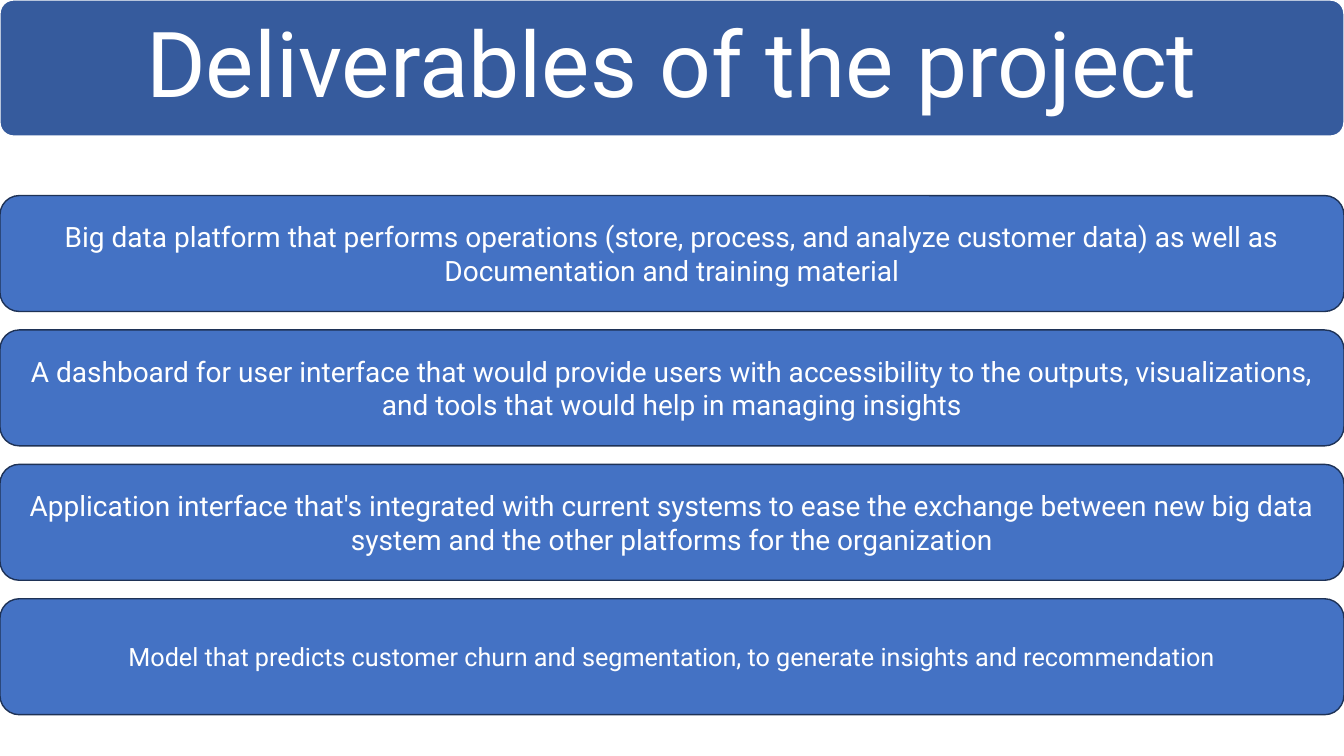
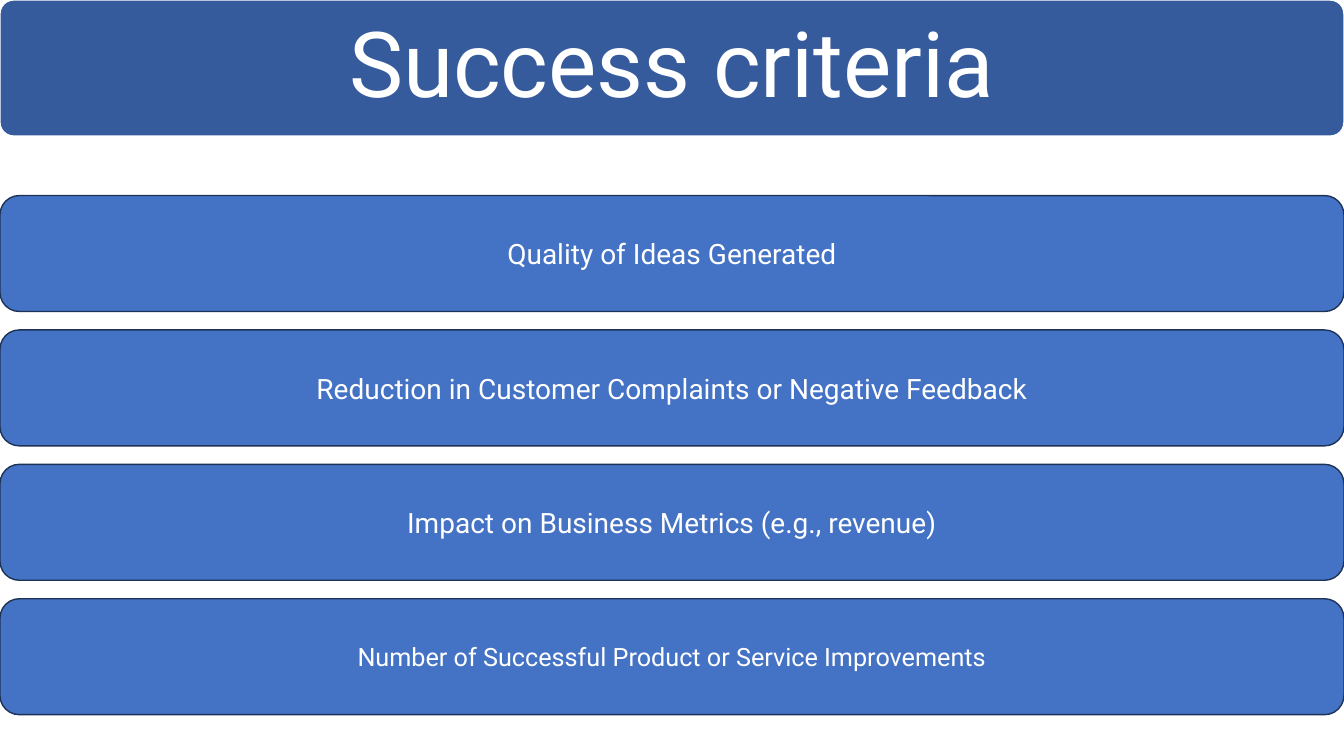
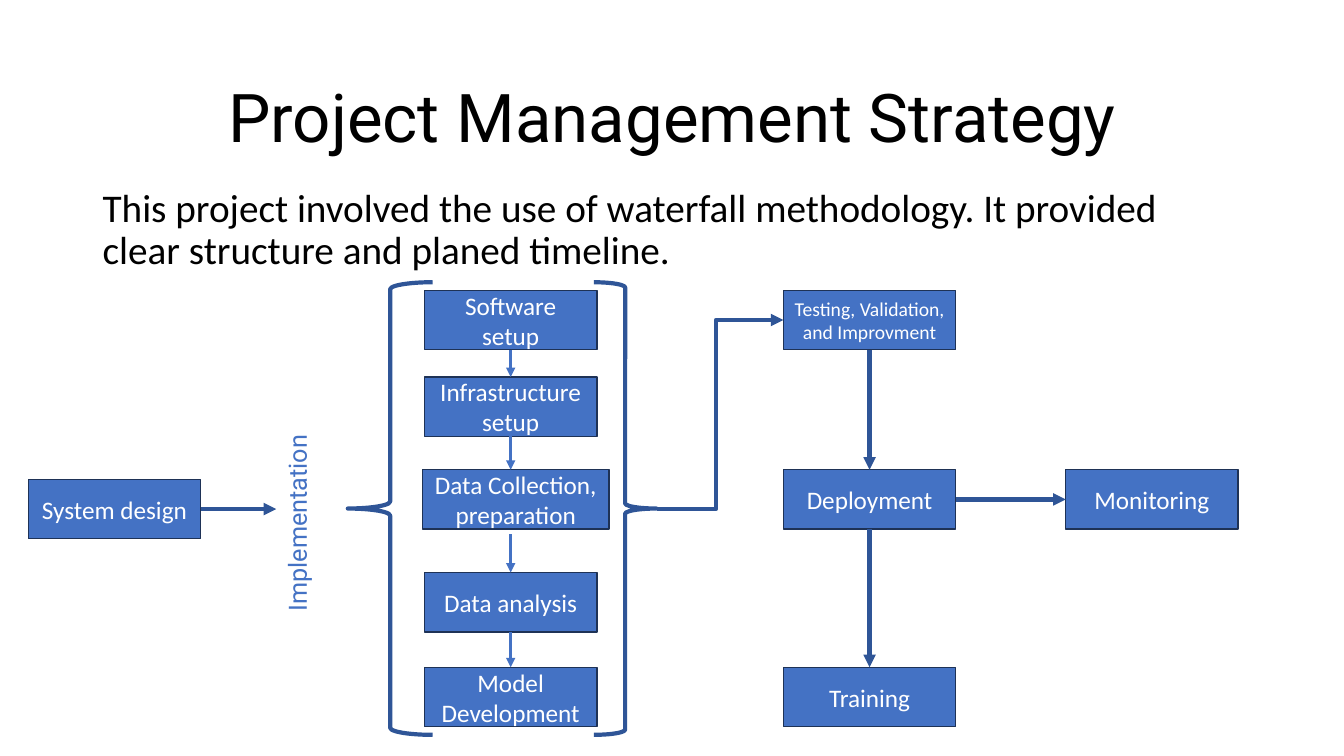
from pptx import Presentation
from pptx.dml.color import RGBColor
from pptx.enum.shapes import MSO_CONNECTOR as Conn, MSO_SHAPE as Form
from pptx.enum.text import MSO_ANCHOR as Anchor, MSO_AUTO_SIZE as Fit, PP_ALIGN as Align
from pptx.oxml.ns import qn
from pptx.util import Inches, Pt
from lxml.etree import SubElement

# Shared look
WIDE, HIGH = 13.33, 7.5
HUES = {"band": "365B9D", "box": "4472C4", "edge": "1E3256",
        "flow": "2F5597", "white": "FFFFFF", "black": "000000"}
HEAD, BODY = "Roboto", "Calibri"
TOP, DEEP, STEP = 1.94, 1.15, 4 / 3     # list cards: first top, height, pitch

# Flow chart grid
COLS = [0.28, 4.21, 7.77, 10.57]
ROWS = [2.88, 3.74, 4.66, 5.68, 6.62]
BOX_W, BOX_H = 1.71, 0.59
MID = 5.05                              # axis of the braces

CARDS = [
    ("Deliverables of the project", [
        "Big data platform that performs operations (store, process, and analyze "
        "customer data) as well as Documentation and training material",
        "A dashboard for user interface that would provide users with accessibility "
        "to the outputs, visualizations, and tools that would help in managing insights",
        "Application interface that's integrated with current systems to ease the "
        "exchange between new big data system and the other platforms for the organization",
        "Model that predicts customer churn and segmentation, to generate insights "
        "and recommendation"]),
    ("Success criteria", [
        "Quality of Ideas Generated",
        "Reduction in Customer Complaints or Negative Feedback",
        "Impact on Business Metrics (e.g., revenue)",
        "Number of Successful Product or Service Improvements"]),
]


def color(name):
    return RGBColor.from_string(HUES[name])


def write(shape, text, size, font, hue, align=Align.CENTER, anchor=Anchor.MIDDLE, lead=None):
    frame = shape.text_frame
    frame.text = text
    frame.word_wrap = True
    frame.auto_size = Fit.NONE
    frame.vertical_anchor = anchor
    for para in frame.paragraphs:
        para.alignment = align
        para.line_spacing = lead
        for run in para.runs:
            run.font.size = Pt(size)
            run.font.name = font
            run.font.color.rgb = color(hue)
    return frame


def panel(slide, form, x, y, w, h, fill, edge, pts=1):
    shape = slide.shapes.add_shape(form, Inches(x), Inches(y), Inches(w), Inches(h))
    shape.shadow.inherit = False
    if fill:
        shape.fill.solid()
        shape.fill.fore_color.rgb = color(fill)
    else:
        shape.fill.background()
    shape.line.color.rgb = color(edge)
    shape.line.width = Pt(pts)
    return shape


def title(slide, text, x, y, w, h, size, hue):
    shape = slide.shapes.title
    shape.left, shape.top, shape.width, shape.height = map(Inches, (x, y, w, h))
    return write(shape, text, size, HEAD, hue, lead=0.9)


def label(slide, text, x, y, w, h, size, font, hue, lead=None):
    shape = slide.shapes.add_textbox(Inches(x), Inches(y), Inches(w), Inches(h))
    write(shape, text, size, font, hue, Align.LEFT, Anchor.TOP, lead)
    return shape


def box(slide, text, x, y, w=BOX_W, size=18):
    shape = panel(slide, Form.RECTANGLE, x, y, w, BOX_H, "box", "edge")
    write(shape, text, size, BODY, "white")
    return shape


def arrow(slide, start, end, hue="flow", pts=3, kind=Conn.STRAIGHT):
    """Each end is an (x, y) point or a (shape, side) pair."""
    spots = [(0, 0) if hasattr(a, "shape_id") else (Inches(a), Inches(b))
             for a, b in (start, end)]
    line = slide.shapes.add_connector(kind, *spots[0], *spots[1])
    for (a, b), join in ((start, line.begin_connect), (end, line.end_connect)):
        if hasattr(a, "shape_id"):
            join(a, b)
    line.line.color.rgb = color(hue)
    line.line.width = Pt(pts)
    SubElement(line.line._get_or_add_ln(), qn("a:tailEnd"), type="triangle")
    SubElement(line._element.spPr, qn("a:effectLst"))
    return line


def cards(deck, head, items):
    slide = deck.slides.add_slide(deck.slide_layouts[5])
    # Title band, placed behind the title
    band = panel(slide, Form.ROUNDED_RECTANGLE, 0, 0, WIDE, 0.18 * HIGH, "band", "white")
    band.adjustments[0] = 0.1
    slide.shapes._spTree.insert(2, band._element)
    title(slide, head, 0.04, 0.04, WIDE - 0.08, 1.27, 65, "white")
    # Stacked cards, the last one in smaller type
    for i, item in enumerate(items):
        card = panel(slide, Form.ROUNDED_RECTANGLE, 0, TOP + i * STEP, WIDE, DEEP,
                     "box", "edge")
        write(card, item, 18 if i == len(items) - 1 else 20, HEAD, "white")


def flow(deck):
    slide = deck.slides.add_slide(deck.slide_layouts[5])
    title(slide, "Project Management Strategy", 0.92, 0.4, 11.5, 1.6, 48, "black")
    label(slide, "This project involved the use of waterfall methodology. "
          "It provided clear structure and planed timeline.",
          0.92, 1.82, 11.5, 1, 28, BODY, "black", 0.9)

    # Boxes
    design = box(slide, "System design", COLS[0], MID - BOX_H / 2)
    setup = box(slide, "Software setup", COLS[1], ROWS[0])
    infra = box(slide, "Infrastructure\nsetup", COLS[1], ROWS[1])
    box(slide, "Data Collection, preparation", 4.19, ROWS[2], 1.85)
    study = box(slide, "Data analysis", COLS[1], ROWS[3])
    model = box(slide, "Model Development", COLS[1], ROWS[4])
    test = box(slide, "Testing, Validation, and Improvment", COLS[2], ROWS[0], size=14)
    launch = box(slide, "Deployment", COLS[2], ROWS[2])
    train = box(slide, "Training", COLS[2], ROWS[4])
    watch = box(slide, "Monitoring", COLS[3], ROWS[2])

    # Implementation phase
    phase = label(slide, "Implementation", 1.82, 4.84, 2.25, 0.4, 18, HEAD, "box")
    phase.rotation = 270
    for form, x, w in ((Form.LEFT_BRACE, 3.45, 0.84), (Form.RIGHT_BRACE, 5.89, 0.62)):
        panel(slide, form, x, 2.8, w, 4.49, None, "flow", 3)

    # Steps inside the braces
    axis = COLS[1] + BOX_W / 2
    for start, end in (((setup, 2), (infra, 0)),
                       ((infra, 2), (axis, ROWS[2])),
                       ((axis, 5.3), (study, 0)),
                       ((study, 2), (model, 0))):
        arrow(slide, start, end, "box", 2.25)

    # Main flow
    arrow(slide, (design, 3), (2.74, MID))
    arrow(slide, (launch, 3), (watch, 1))
    arrow(slide, (test, 2), (launch, 0))
    arrow(slide, (launch, 2), (train, 0))
    bend = arrow(slide, (6.52, MID), (COLS[2], ROWS[0] + BOX_H / 2), kind=Conn.ELBOW)
    guides = bend._element.spPr.find(qn("a:prstGeom")).find(qn("a:avLst"))
    SubElement(guides, qn("a:gd"), name="adj1", fmla="val 46500")


def main():
    deck = Presentation()
    deck.slide_width, deck.slide_height = Inches(WIDE), Inches(HIGH)
    for head, items in CARDS:
        cards(deck, head, items)
    flow(deck)
    deck.save("out.pptx")


if __name__ == "__main__":
    main()
